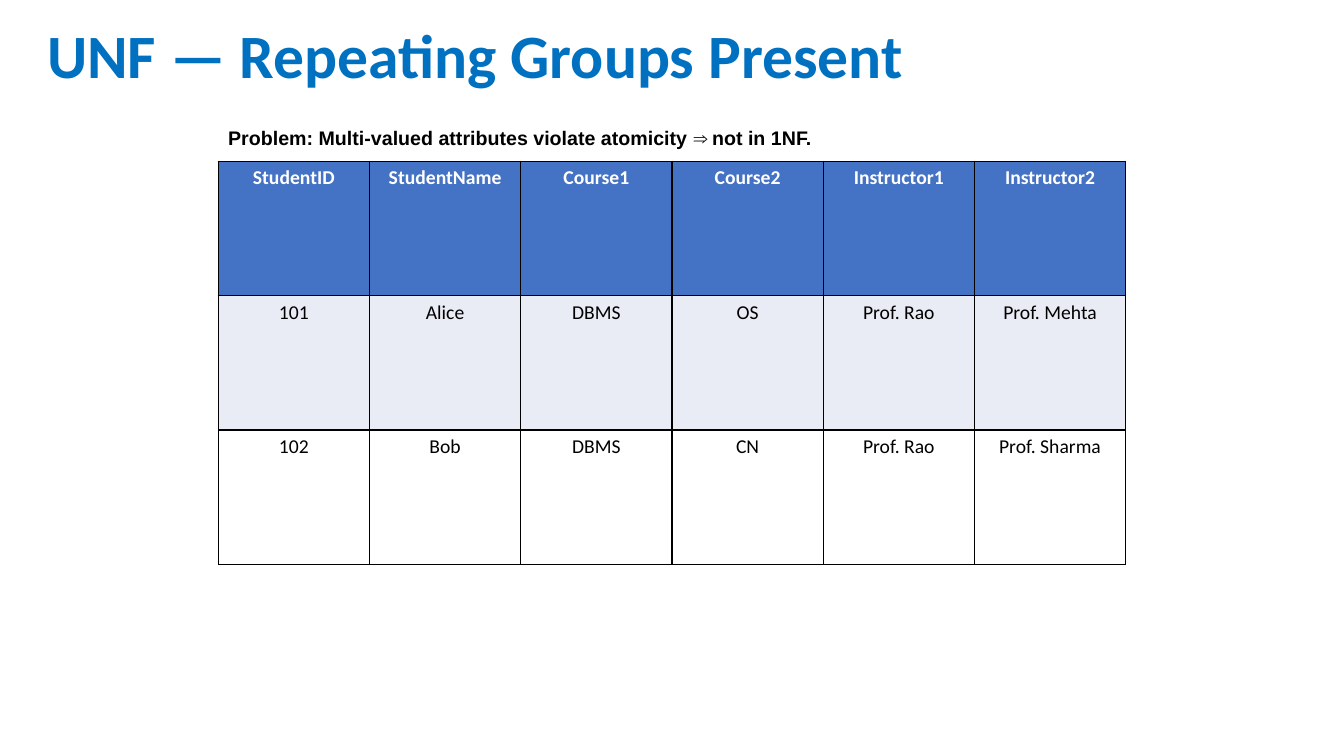
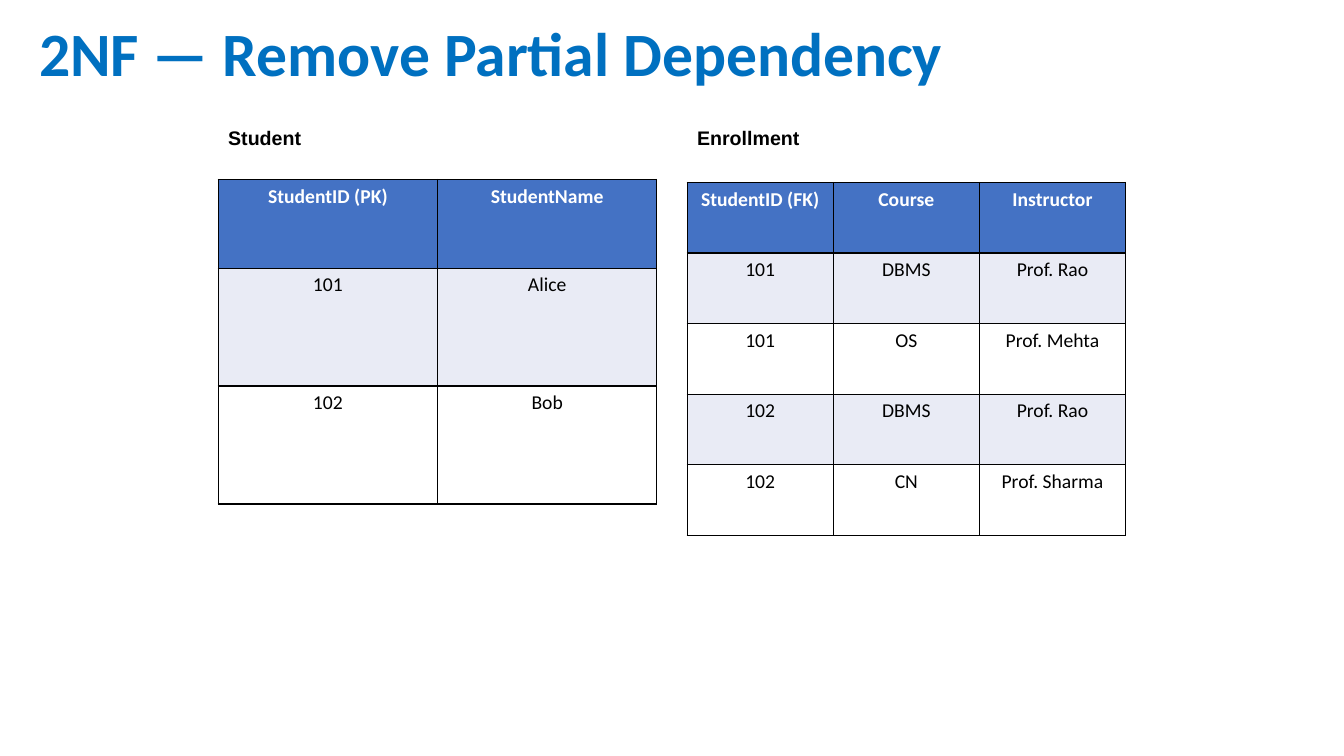
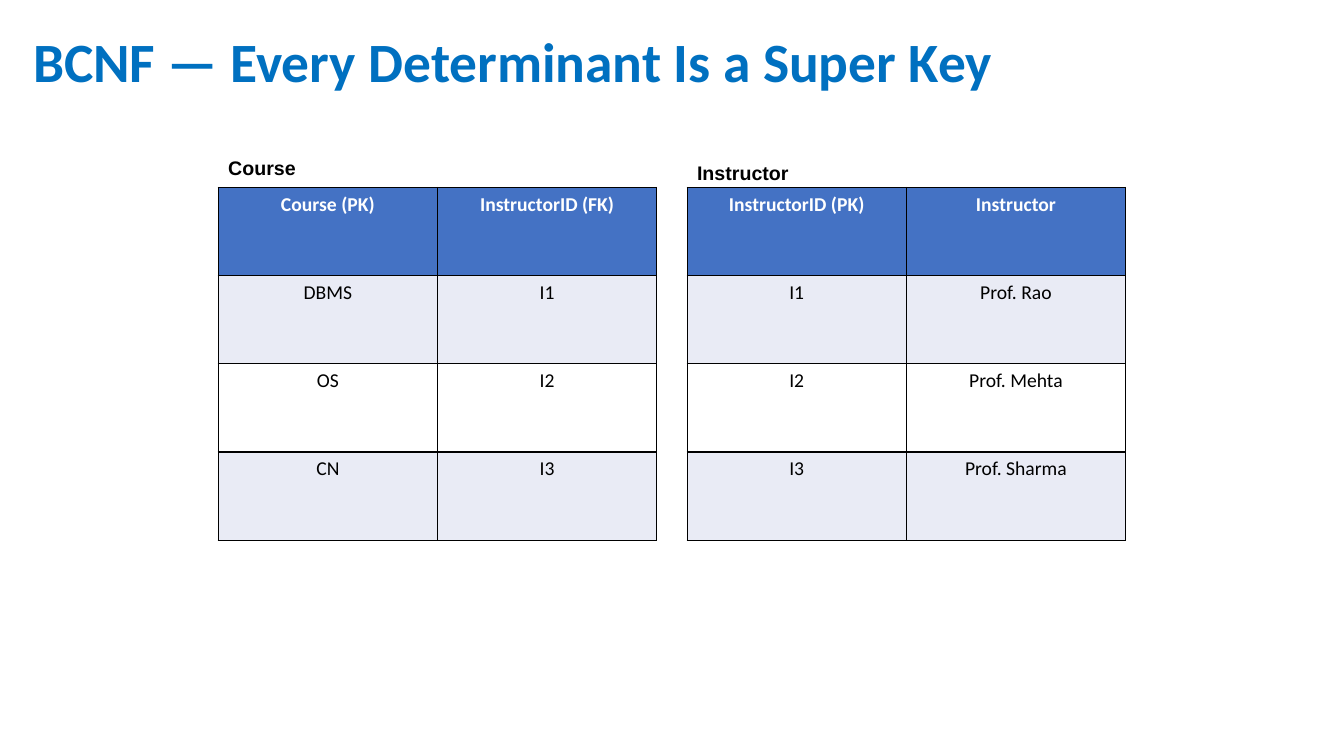
from dataclasses import dataclass

from lxml.etree import SubElement
from pptx import Presentation
from pptx.dml.color import RGBColor
from pptx.enum.text import MSO_ANCHOR, MSO_AUTO_SIZE, PP_ALIGN
from pptx.oxml.ns import qn
from pptx.util import Inches, Pt


@dataclass(frozen=True)
class Theme:
    title_color: RGBColor = RGBColor(0x00, 0x70, 0xC0)
    header_fill: RGBColor = RGBColor(0x44, 0x72, 0xC4)
    band_fill: RGBColor = RGBColor(0xE9, 0xEB, 0xF5)
    white: RGBColor = RGBColor(0xFF, 0xFF, 0xFF)
    black: RGBColor = RGBColor(0x00, 0x00, 0x00)
    heading_font: str = "Calibri"
    label_font: str = "Arial"
    title_size: float = 44
    long_title_size: float = 39.6
    body_size: float = 14
    border_width: float = 1


theme = Theme()

# Grid: a centred content area, split into equal panels with a gap
SLIDE_WIDTH, SLIDE_HEIGHT = 13.33, 7.5
CONTENT_WIDTH = 9
CONTENT_LEFT = (SLIDE_WIDTH - CONTENT_WIDTH) / 2
PANEL_GAP = 0.3
LABEL_HEIGHT = 0.34

# Each panel: label, label top and width, table top, header and body row heights, rows
slides = [
    {
        "title": "UNF — Repeating Groups Present",
        "title_box": (0.37, 0.18, 11.5, 0.8),
        "title_size": theme.title_size,
        "panels": [
            ("Problem: Multi-valued attributes violate atomicity ⇒ not in 1NF.",
             1.2, 6.06, 1.6, 4 / 3, 4 / 3, [
                 ["StudentID", "StudentName", "Course1", "Course2", "Instructor1", "Instructor2"],
                 ["101", "Alice", "DBMS", "OS", "Prof. Rao", "Prof. Mehta"],
                 ["102", "Bob", "DBMS", "CN", "Prof. Rao", "Prof. Sharma"],
             ]),
        ],
    },
    {
        "title": "2NF — Remove Partial Dependency",
        "title_box": (0.29, 0.18, 11.5, 0.77),
        "title_size": theme.title_size,
        "panels": [
            ("Student", 1.2, 0.93, 1.78, 0.88, 1.17, [
                ["StudentID (PK)", "StudentName"],
                ["101", "Alice"],
                ["102", "Bob"],
            ]),
            ("Enrollment", 1.2, 1.23, 1.81, 0.7, 0.7, [
                ["StudentID (FK)", "Course", "Instructor"],
                ["101", "DBMS", "Prof. Rao"],
                ["101", "OS", "Prof. Mehta"],
                ["102", "DBMS", "Prof. Rao"],
                ["102", "CN", "Prof. Sharma"],
            ]),
        ],
    },
    {
        "title": "BCNF — Every Determinant Is a Super Key",
        "title_box": (0.23, 0.29, 10, 0.69),
        "title_size": theme.long_title_size,
        "panels": [
            ("Course", 1.5, 0.88, 1.86, 3.5 / 4, 3.5 / 4, [
                ["Course (PK)", "InstructorID (FK)"],
                ["DBMS", "I1"],
                ["OS", "I2"],
                ["CN", "I3"],
            ]),
            ("Instructor", 1.55, 1.12, 1.86, 3.5 / 4, 3.5 / 4, [
                ["InstructorID (PK)", "Instructor"],
                ["I1", "Prof. Rao"],
                ["I2", "Prof. Mehta"],
                ["I3", "Prof. Sharma"],
            ]),
        ],
    },
]


def add_text(paragraph, text, font_name, size, color, bold):
    run = paragraph.add_run()
    run.text = text
    run.font.name = font_name
    run.font.size = Pt(size)
    run.font.color.rgb = color
    run.font.bold = bold


def add_borders(cell):
    properties = cell._tc.get_or_add_tcPr()
    for side in ("a:lnL", "a:lnR", "a:lnT", "a:lnB"):
        line = SubElement(properties, qn(side), w=str(Pt(theme.border_width)))
        fill = SubElement(line, qn("a:solidFill"))
        SubElement(fill, qn("a:srgbClr"), val=str(theme.black))


presentation = Presentation()
presentation.slide_width = Inches(SLIDE_WIDTH)
presentation.slide_height = Inches(SLIDE_HEIGHT)
blank_layout = presentation.slide_layouts[6]

for content in slides:
    slide = presentation.slides.add_slide(blank_layout)

    # Title
    title_box = slide.shapes.add_textbox(*(Inches(length) for length in content["title_box"]))
    title_frame = title_box.text_frame
    title_frame.word_wrap = True
    title_frame.vertical_anchor = MSO_ANCHOR.MIDDLE
    title_frame.paragraphs[0].line_spacing = 0.9
    add_text(title_frame.paragraphs[0], content["title"], theme.heading_font,
             content["title_size"], theme.title_color, True)

    # Labelled tables side by side
    panels = content["panels"]
    panel_width = (CONTENT_WIDTH - PANEL_GAP * (len(panels) - 1)) / len(panels)
    for position, panel in enumerate(panels):
        label, label_top, label_width, table_top, header_height, body_height, rows = panel
        left = Inches(CONTENT_LEFT + position * (panel_width + PANEL_GAP))

        label_box = slide.shapes.add_textbox(
            left, Inches(label_top), Inches(label_width), Inches(LABEL_HEIGHT))
        label_box.text_frame.word_wrap = False
        label_box.text_frame.auto_size = MSO_AUTO_SIZE.SHAPE_TO_FIT_TEXT
        add_text(label_box.text_frame.paragraphs[0], label, theme.label_font,
                 theme.body_size, theme.black, True)

        table_height = header_height + body_height * (len(rows) - 1)
        table = slide.shapes.add_table(
            len(rows), len(rows[0]), left, Inches(table_top),
            Inches(panel_width), Inches(table_height)).table

        for row_index, values in enumerate(rows):
            is_header = row_index == 0
            table.rows[row_index].height = Inches(header_height if is_header else body_height)
            if is_header:
                row_fill, text_color = theme.header_fill, theme.white
            else:
                row_fill = theme.band_fill if row_index % 2 else theme.white
                text_color = theme.black

            for column_index, value in enumerate(values):
                cell = table.cell(row_index, column_index)
                add_borders(cell)
                cell.fill.solid()
                cell.fill.fore_color.rgb = row_fill
                paragraph = cell.text_frame.paragraphs[0]
                paragraph.alignment = PP_ALIGN.CENTER
                add_text(paragraph, value, theme.heading_font, theme.body_size,
                         text_color, is_header)

presentation.save("out.pptx")
